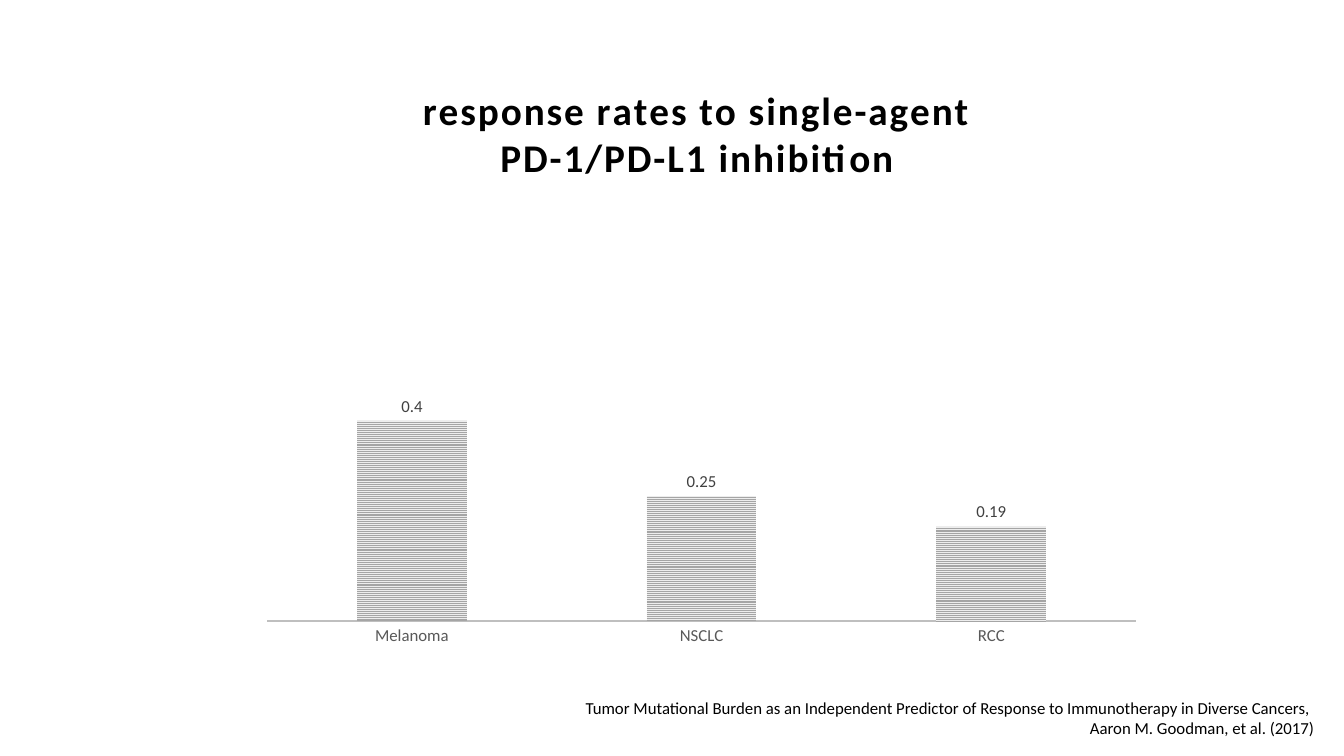
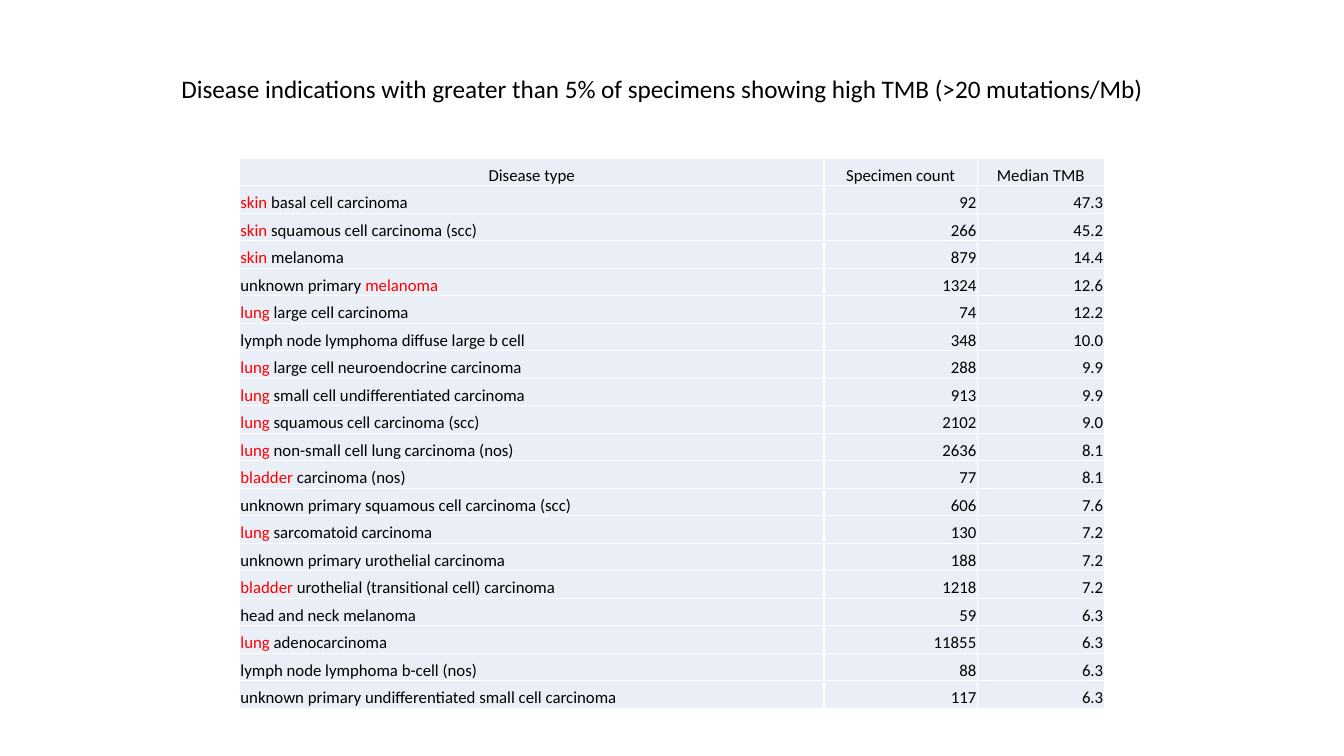
"""Build two slides on tumor mutational burden and response to immunotherapy."""
from lxml import etree
from pptx import Presentation
from pptx.chart.data import CategoryChartData
from pptx.dml.color import RGBColor
from pptx.enum.chart import XL_CHART_TYPE, XL_LABEL_POSITION, XL_TICK_LABEL_POSITION, XL_TICK_MARK
from pptx.enum.dml import MSO_PATTERN
from pptx.enum.text import MSO_ANCHOR, MSO_AUTO_SIZE, PP_ALIGN
from pptx.oxml.ns import qn
from pptx.util import Pt

COLUMN_CHART = XL_CHART_TYPE.COLUMN_CLUSTERED
OUTSIDE_END = XL_LABEL_POSITION.OUTSIDE_END
NO_LABELS = XL_TICK_LABEL_POSITION.NONE
NO_TICKS = XL_TICK_MARK.NONE
NARROW_STRIPES = MSO_PATTERN.NARROW_HORIZONTAL
BOTTOM = MSO_ANCHOR.BOTTOM
GROW = MSO_AUTO_SIZE.SHAPE_TO_FIT_TEXT
LEFT, CENTER, RIGHT = PP_ALIGN.LEFT, PP_ALIGN.CENTER, PP_ALIGN.RIGHT

FONT = "Calibri"
BLACK = RGBColor(0x00, 0x00, 0x00)
WHITE = RGBColor(0xFF, 0xFF, 0xFF)
RED = RGBColor(0xFF, 0x00, 0x00)
CELL_BLUE = RGBColor(0xEA, 0xEF, 0xF7)
AXIS_TEXT = RGBColor(0x59, 0x59, 0x59)
LABEL_TEXT = RGBColor(0x40, 0x40, 0x40)
AXIS_LINE = RGBColor(0xBF, 0xBF, 0xBF)
STRIPE_DARK = RGBColor(0xA5, 0xA5, 0xA5)
STRIPE_LIGHT = RGBColor(0xED, 0xED, 0xED)

RESPONSE_RATES = {"Melanoma": 0.4, "NSCLC": 0.25, "RCC": 0.19}
PLOT_LAYOUT = {"x": 0.02, "y": 0.1, "w": 0.97, "h": 0.84}
CITATION = [
    "Tumor Mutational Burden as an Independent Predictor of Response to Immunotherapy in Diverse Cancers, ",
    "Aaron M. Goodman, et al. (2017)",
]

COLUMN_WIDTHS = [417.6, 109.5, 90.7]
ROW_HEIGHT = 19.66
HEADINGS = ["Disease type", "Specimen count", "Median TMB"]
DISEASES = [
    ("*skin* basal cell carcinoma", "92", "47.3"),
    ("*skin* squamous cell carcinoma (scc)", "266", "45.2"),
    ("*skin* melanoma", "879", "14.4"),
    ("unknown primary *melanoma*", "1324", "12.6"),
    ("*lung* large cell carcinoma", "74", "12.2"),
    ("lymph node lymphoma diffuse large b cell", "348", "10.0"),
    ("*lung* large cell neuroendocrine carcinoma", "288", "9.9"),
    ("*lung* small cell undifferentiated carcinoma", "913", "9.9"),
    ("*lung* squamous cell carcinoma (scc)", "2102", "9.0"),
    ("*lung* non-small cell lung carcinoma (nos)", "2636", "8.1"),
    ("*bladder* carcinoma (nos)", "77", "8.1"),
    ("unknown primary squamous cell carcinoma (scc)", "606", "7.6"),
    ("*lung* sarcomatoid carcinoma", "130", "7.2"),
    ("unknown primary urothelial carcinoma", "188", "7.2"),
    ("*bladder* urothelial (transitional cell) carcinoma", "1218", "7.2"),
    ("head and neck melanoma", "59", "6.3"),
    ("*lung* adenocarcinoma", "11855", "6.3"),
    ("lymph node lymphoma b-cell (nos)", "88", "6.3"),
    ("unknown primary undifferentiated small cell carcinoma", "117", "6.3"),
]


def style_font(font, size=12, color=BLACK, bold=False):
    """Set the typeface, size, colour and weight of a font."""
    font.name = FONT
    font.size = Pt(size)
    font.bold = bold
    font.color.rgb = color


def write_text(paragraph, text, size=12, bold=False, align=LEFT):
    """Write text into a paragraph, with the parts between asterisks in red."""
    paragraph.alignment = align
    for index, part in enumerate(text.split("*")):
        if part:
            run = paragraph.add_run()
            run.text = part
            style_font(run.font, size, RED if index % 2 else BLACK, bold)


def add_text_box(slide, lines, left, top, width, height, **text_format):
    """Add a text box with one paragraph for each line."""
    frame = slide.shapes.add_textbox(Pt(left), Pt(top), Pt(width), Pt(height)).text_frame
    frame.word_wrap = False
    frame.auto_size = GROW
    for index, line in enumerate(lines):
        paragraph = frame.add_paragraph() if index else frame.paragraphs[0]
        write_text(paragraph, line, **text_format)


def set_plot_layout(chart, fractions):
    """Fix the inner plot area as fractions of the chart."""
    plot_area = chart.element.find(".//" + qn("c:plotArea"))
    for old_layout in plot_area.findall(qn("c:layout")):
        plot_area.remove(old_layout)
    layout = etree.Element(qn("c:layout"))
    manual = etree.SubElement(layout, qn("c:manualLayout"))
    settings = [("layoutTarget", "inner"), ("xMode", "edge"), ("yMode", "edge"), *fractions.items()]
    for name, value in settings:
        etree.SubElement(manual, qn("c:" + name)).set("val", str(value))
    plot_area.insert(0, layout)


def style_axes(chart):
    """Show a plain category axis and hide the value axis."""
    for axis in (chart.category_axis, chart.value_axis):
        axis.major_tick_mark = axis.minor_tick_mark = NO_TICKS
        axis.has_major_gridlines = False
        style_font(axis.tick_labels.font, color=AXIS_TEXT)
    category_line = chart.category_axis.format.line
    category_line.color.rgb = AXIS_LINE
    category_line.width = Pt(1.5)
    value_axis = chart.value_axis
    value_axis.minimum_scale, value_axis.maximum_scale = 0, 1
    value_axis.tick_label_position = NO_LABELS
    value_axis.format.line.fill.background()


def style_columns(plot):
    """Give the columns a striped fill and value labels."""
    plot.gap_width = 164
    plot.overlap = -22
    plot.vary_by_categories = False
    fill = plot.series[0].format.fill
    fill.patterned()
    fill.pattern = NARROW_STRIPES
    fill.fore_color.rgb = STRIPE_DARK
    fill.back_color.rgb = STRIPE_LIGHT
    plot.has_data_labels = True
    labels = plot.data_labels
    labels.show_value = True
    labels.position = OUTSIDE_END
    style_font(labels.font, color=LABEL_TEXT)


def add_column_chart(slide, title, rates, left, top, width, height):
    """Add a titled column chart of rates by category."""
    data = CategoryChartData()
    data.categories = list(rates)
    data.add_series("Series 1", list(rates.values()))
    frame = slide.shapes.add_chart(COLUMN_CHART, Pt(left), Pt(top), Pt(width), Pt(height), data)
    chart = frame.chart
    style_font(chart.font, size=10)
    chart.has_legend = False
    chart.has_title = True
    paragraph = chart.chart_title.text_frame.paragraphs[0]
    write_text(paragraph, title, size=28, bold=True, align=CENTER)
    for properties in chart.chart_title.element.iter(qn("a:rPr")):
        properties.set("spc", "150")
    set_plot_layout(chart, PLOT_LAYOUT)
    style_axes(chart)
    style_columns(chart.plots[0])


def add_borders(cell):
    """Draw a thin white line on each side of a cell."""
    properties = cell._tc.get_or_add_tcPr()
    for side in ("lnL", "lnR", "lnT", "lnB"):
        line = etree.SubElement(properties, qn("a:" + side), w=str(Pt(1)))
        solid = etree.SubElement(line, qn("a:solidFill"))
        etree.SubElement(solid, qn("a:srgbClr"), val=str(WHITE))


def fill_cell(cell, text, align):
    """Format one table cell and write its text."""
    add_borders(cell)
    cell.fill.solid()
    cell.fill.fore_color.rgb = CELL_BLUE
    cell.margin_left = cell.margin_right = cell.margin_top = Pt(0.75)
    cell.margin_bottom = 0
    cell.vertical_anchor = BOTTOM
    write_text(cell.text_frame.paragraphs[0], text, align=align)


def add_disease_table(slide, left, top):
    """Add the table of disease types with its heading row."""
    rows = [HEADINGS, *DISEASES]
    table = slide.shapes.add_table(
        len(rows), len(HEADINGS), Pt(left), Pt(top),
        Pt(sum(COLUMN_WIDTHS)), Pt(ROW_HEIGHT * len(rows))).table
    table.first_row = table.horz_banding = False
    for column, width in zip(table.columns, COLUMN_WIDTHS):
        column.width = Pt(width)
    for row_index, texts in enumerate(rows):
        table.rows[row_index].height = Pt(ROW_HEIGHT)
        alignments = (LEFT, RIGHT, RIGHT) if row_index else (CENTER,) * 3
        for column_index, (text, align) in enumerate(zip(texts, alignments)):
            fill_cell(table.cell(row_index, column_index), text, align)


def main():
    """Build and save the presentation."""
    presentation = Presentation()
    presentation.slide_width, presentation.slide_height = Pt(960), Pt(540)
    blank = presentation.slide_layouts[6]

    slide = presentation.slides.add_slide(blank)
    add_column_chart(slide, "response rates to single-agent PD-1/PD-L1 inhibition",
                     RESPONSE_RATES, 178, 42.5, 640, 427)
    add_text_box(slide, CITATION, 406, 494.5, 540, 36, align=RIGHT)

    slide = presentation.slides.add_slide(blank)
    add_text_box(slide, ["Disease indications with greater than 5% of specimens showing high TMB (>20 mutations/Mb)"],
                 122.4, 48.5, 710, 29, size=18)
    add_disease_table(slide, 171, 113)

    presentation.save("out.pptx")


if __name__ == "__main__":
    main()
